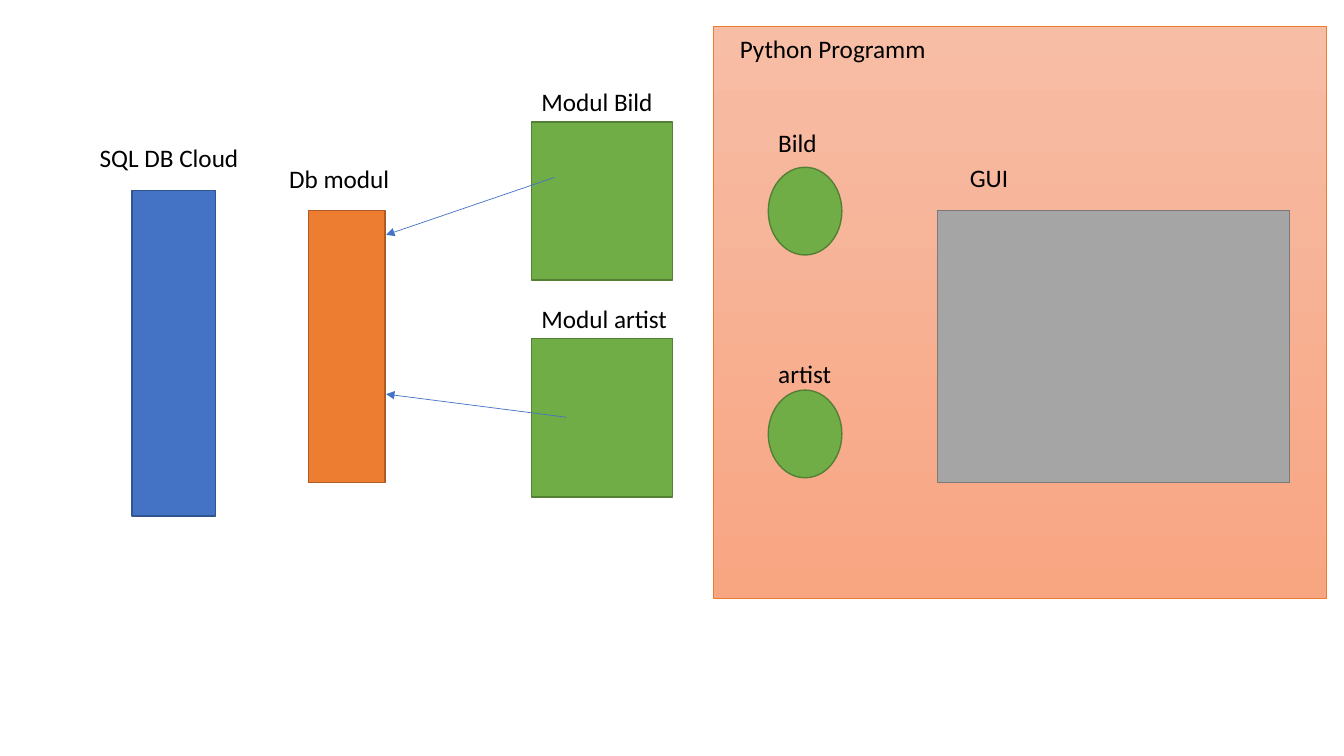
"""Build a slide showing a database, its access modules and a Python program with a GUI."""
from dataclasses import dataclass

from lxml import etree
from pptx import Presentation
from pptx import util as u
from pptx.dml.color import RGBColor
from pptx.enum import shapes, text
from pptx.oxml import ns
from pptx.shapes.autoshape import Shape
from pptx.slide import Slide

BLACK = RGBColor(0x00, 0x00, 0x00)
BLUE = RGBColor(0x44, 0x72, 0xC4)
DARK_BLUE = RGBColor(0x32, 0x54, 0x91)
ORANGE = RGBColor(0xED, 0x7D, 0x31)
DARK_ORANGE = RGBColor(0xAF, 0x5C, 0x24)
GRAY = RGBColor(0xA5, 0xA5, 0xA5)
DARK_GRAY = RGBColor(0x7A, 0x7A, 0x7A)
GREEN = RGBColor(0x70, 0xAD, 0x47)
DARK_GREEN = RGBColor(0x53, 0x80, 0x35)
PEACH = RGBColor(0xF7, 0xBD, 0xA5)
SALMON = RGBColor(0xF8, 0xA5, 0x82)

FONT = "Calibri"
LABEL_HEIGHT = 0.4
RECTANGLE = shapes.MSO_SHAPE.RECTANGLE
OVAL = shapes.MSO_SHAPE.OVAL


@dataclass(frozen=True)
class Block:
    left: float
    top: float
    width: float
    height: float
    fill: RGBColor
    line: RGBColor
    kind: shapes.MSO_SHAPE = RECTANGLE
    weight: float = 1


@dataclass(frozen=True)
class Label:
    wording: str
    left: float
    top: float
    width: float


@dataclass(frozen=True)
class Arrow:
    start: tuple[float, float]
    end: tuple[float, float]


PROGRAM = Block(7.08, 0.26, 6.08, 5.68, PEACH, ORANGE, weight=0.5)
BLOCKS = [
    Block(1.31, 1.89, 0.83, 3.23, BLUE, DARK_BLUE),
    Block(3.06, 2.09, 0.76, 2.7, ORANGE, DARK_ORANGE),
    Block(9.3, 2.09, 3.49, 2.7, GRAY, DARK_GRAY),
    *(Block(5.27, top, 1.4, 1.57, GREEN, DARK_GREEN) for top in (1.21, 3.36)),
    *(Block(7.62, top, 0.73, 0.87, GREEN, DARK_GREEN, OVAL) for top in (1.66, 3.87)),
]
LABELS = [
    Label("SQL DB Cloud", 0.89, 1.36, 1.66),
    Label("Db modul", 2.77, 1.57, 1.35),
    Label("GUI", 9.52, 1.56, 1.35),
    Label("Modul Bild", 5.27, 0.81, 1.35),
    Label("Modul artist", 5.27, 2.96, 1.68),
    Label("Python Programm", 7.24, 0.28, 2.06),
    Label("artist", 7.62, 3.51, 0.91),
    Label("Bild", 7.62, 1.21, 0.73),
]
ARROWS = [
    Arrow((5.5, 1.76), (3.83, 2.33)),
    Arrow((5.62, 4.14), (3.83, 3.91)),
]


def add_block(page: Slide, block: Block) -> Shape:
    frame = (block.left, block.top, block.width, block.height)
    shape = page.shapes.add_shape(block.kind, *map(u.Inches, frame))
    shape.shadow.inherit = False
    shape.fill.solid()
    shape.fill.fore_color.rgb = block.fill
    shape.line.color.rgb = block.line
    shape.line.width = u.Pt(block.weight)
    return shape


def add_program(page: Slide) -> None:
    fill = add_block(page, PROGRAM).fill
    fill.gradient()
    fill.gradient_angle = 270
    for stop, color, position in zip(fill.gradient_stops, (PEACH, SALMON), (0, 1)):
        stop.color.rgb = color
        stop.position = position


def add_label(page: Slide, label: Label) -> None:
    frame = (label.left, label.top, label.width, LABEL_HEIGHT)
    box = page.shapes.add_textbox(*map(u.Inches, frame)).text_frame
    box.word_wrap = True
    box.auto_size = text.MSO_AUTO_SIZE.SHAPE_TO_FIT_TEXT
    para = box.paragraphs[0]
    para.text = label.wording
    para.font.name = FONT
    para.font.size = u.Pt(18)
    para.font.color.rgb = BLACK


def add_arrow(page: Slide, arrow: Arrow) -> None:
    ends = map(u.Inches, (*arrow.start, *arrow.end))
    connector = page.shapes.add_connector(shapes.MSO_CONNECTOR.STRAIGHT, *ends)
    connector.line.color.rgb = BLUE
    connector.line.width = u.Pt(0.5)
    outline = connector.line._get_or_add_ln()
    etree.SubElement(outline, ns.qn("a:tailEnd"), type="triangle")
    etree.SubElement(connector._element.spPr, ns.qn("a:effectLst"))


def main() -> None:
    deck = Presentation()
    deck.slide_width = u.Inches(13.33)
    deck.slide_height = u.Inches(7.5)
    page = deck.slides.add_slide(deck.slide_layouts.get_by_name("Blank"))
    add_program(page)
    for block in BLOCKS:
        add_block(page, block)
    for label in LABELS:
        add_label(page, label)
    for arrow in ARROWS:
        add_arrow(page, arrow)
    deck.save("out.pptx")


if __name__ == "__main__":
    main()
